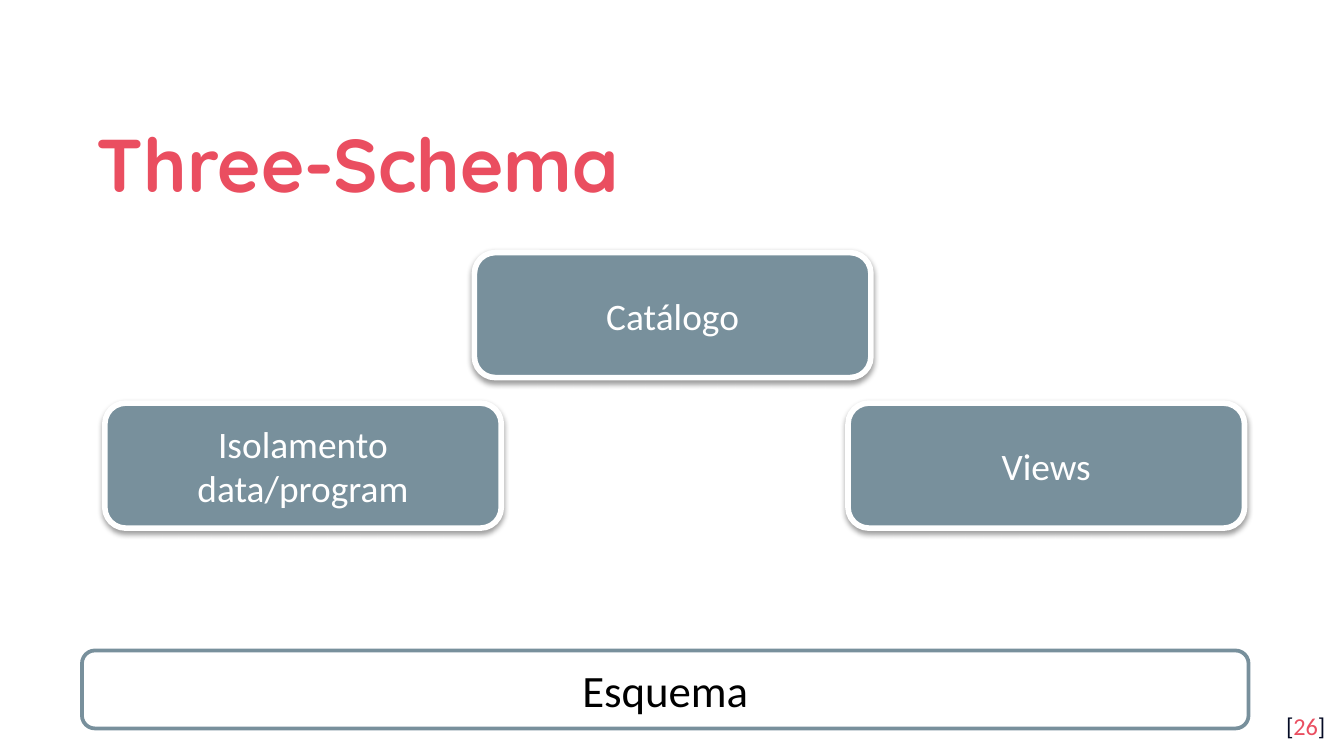
from lxml import etree
from pptx import Presentation
from pptx.dml.color import RGBColor
from pptx.enum import shapes, text
from pptx.oxml.ns import qn
from pptx.util import Inches, Pt

COLORS = {
    "slate": "78909C",
    "white": "FFFFFF",
    "black": "000000",
    "navy": "040A24",
    "coral": "EA4E60",
}


class SlideBuilder:
    """Holds the style and the current slide."""

    body_font = "Calibri"
    title_font = "Quicksand"

    def __init__(self, prs):
        self.slide = prs.slides.add_slide(prs.slide_layouts[5])

    def color(self, name):
        return RGBColor.from_string(COLORS[name])

    def run(self, p, words, size, color, font=None, bold=False):
        r = p.add_run()
        r.text = words
        r.font.size = Pt(size)
        r.font.name = font or self.body_font
        r.font.bold = bold
        r.font.color.rgb = self.color(color)

    def frame(self, sp, anchor, align, inset_x=0.1, inset_y=0.05):
        """Set up the text frame and return its first paragraph."""
        tf = sp.text_frame
        tf.word_wrap = True
        tf.auto_size = text.MSO_AUTO_SIZE.NONE
        tf.vertical_anchor = anchor
        tf.margin_left = tf.margin_right = Inches(inset_x)
        tf.margin_top = tf.margin_bottom = Inches(inset_y)
        p = tf.paragraphs[0]
        p.alignment = align
        return p

    def title(self, words, left, top, width, height):
        sp = self.slide.shapes.title
        sp.left, sp.top = Inches(left), Inches(top)
        sp.width, sp.height = Inches(width), Inches(height)
        p = self.frame(sp, text.MSO_ANCHOR.MIDDLE, text.PP_ALIGN.LEFT, 0.1, 0.1)
        p.line_spacing = 1.15
        self.run(p, words, 40, "coral", self.title_font, True)

    def box(self, words, left, top, width, height, fill, line, line_width,
            size, color, shadow=False):
        sp = self.slide.shapes.add_shape(
            shapes.MSO_SHAPE.ROUNDED_RECTANGLE,
            Inches(left), Inches(top), Inches(width), Inches(height))
        sp.shadow.inherit = False
        sp.fill.solid()
        sp.fill.fore_color.rgb = self.color(fill)
        sp.line.color.rgb = self.color(line)
        sp.line.width = Pt(line_width)
        if shadow:
            self.drop_shadow(sp)
        p = self.frame(sp, text.MSO_ANCHOR.MIDDLE, text.PP_ALIGN.CENTER)
        self.run(p, words, size, color)

    def drop_shadow(self, sp):
        effects = sp._element.spPr.find(qn("a:effectLst"))
        outer = etree.SubElement(
            effects, qn("a:outerShdw"), blurRad=str(Pt(3.1)),
            dist=str(Pt(1.6)), dir=str(90 * 60000), rotWithShape="0")
        clr = etree.SubElement(outer, qn("a:srgbClr"), val=COLORS["black"])
        etree.SubElement(clr, qn("a:alpha"), val="38000")

    def page_number(self, number, left, top, width, height):
        sp = self.slide.shapes.add_textbox(
            Inches(left), Inches(top), Inches(width), Inches(height))
        p = self.frame(sp, text.MSO_ANCHOR.TOP, text.PP_ALIGN.RIGHT, 0.1, 0.1)
        for words, color in (("[", "navy"), (number, "coral"), ("]", "navy")):
            self.run(p, words, 13, color)


def main():
    prs = Presentation()
    prs.slide_width, prs.slide_height = Inches(10), Inches(10 * 9 / 16)

    s = SlideBuilder(prs)
    s.box("Esquema", 0.61, 4.84, 8.68, 0.58, "white", "slate", 2, 24, "black")
    s.page_number("26", 9.36, 5.19, 0.6, 0.43)
    s.title("Three-Schema", 0.62, 0.7, 8.77, 0.92)

    concepts = (
        ("Isolamento data/program", 0.78, 3),
        ("Catálogo", 3.53, 1.88),
        ("Views", 6.31, 3),
    )
    for words, left, top in concepts:
        s.box(words, left, top, 2.95, 0.93, "slate", "white", 3, 20, "white",
              shadow=True)

    prs.save("out.pptx")


if __name__ == "__main__":
    main()
